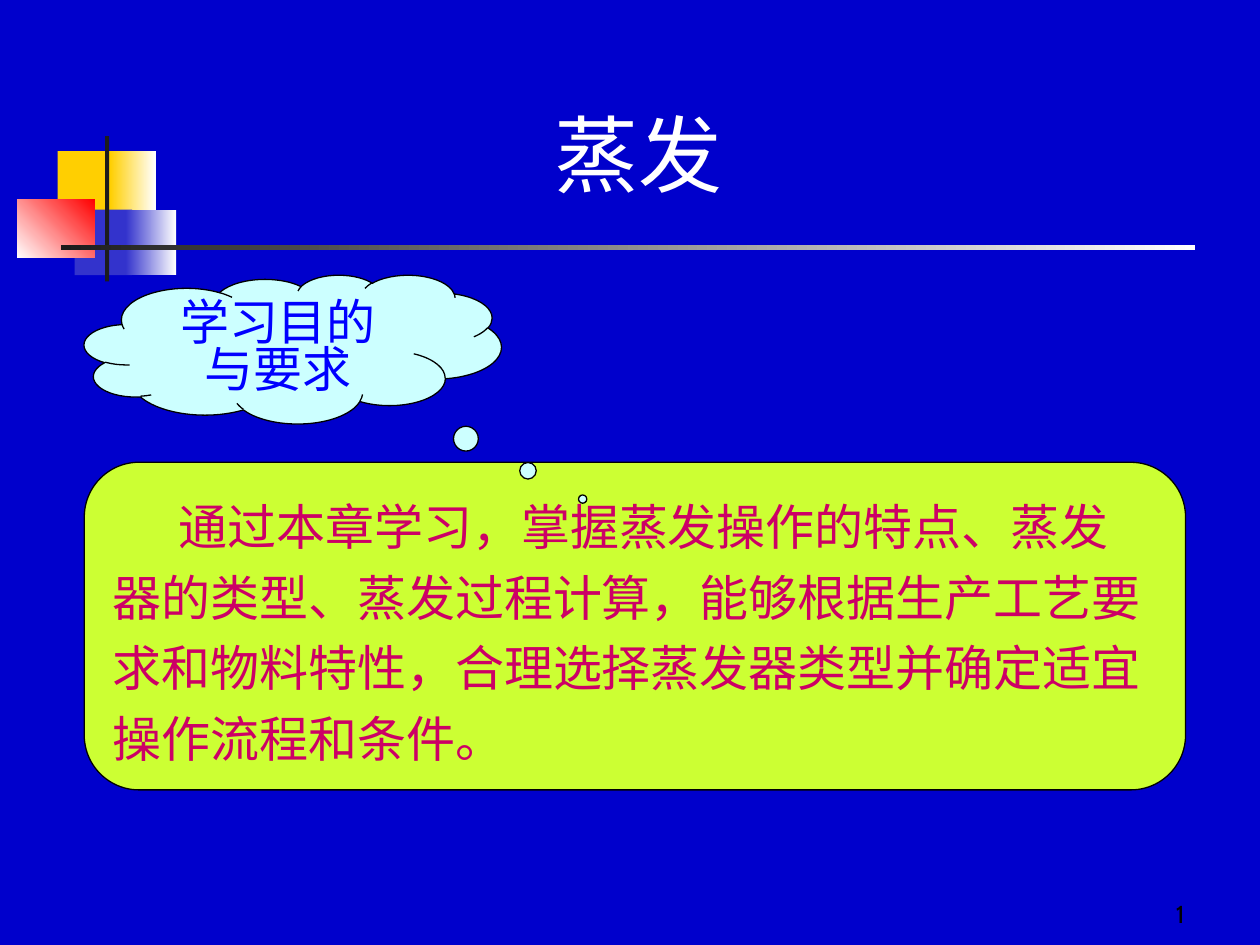
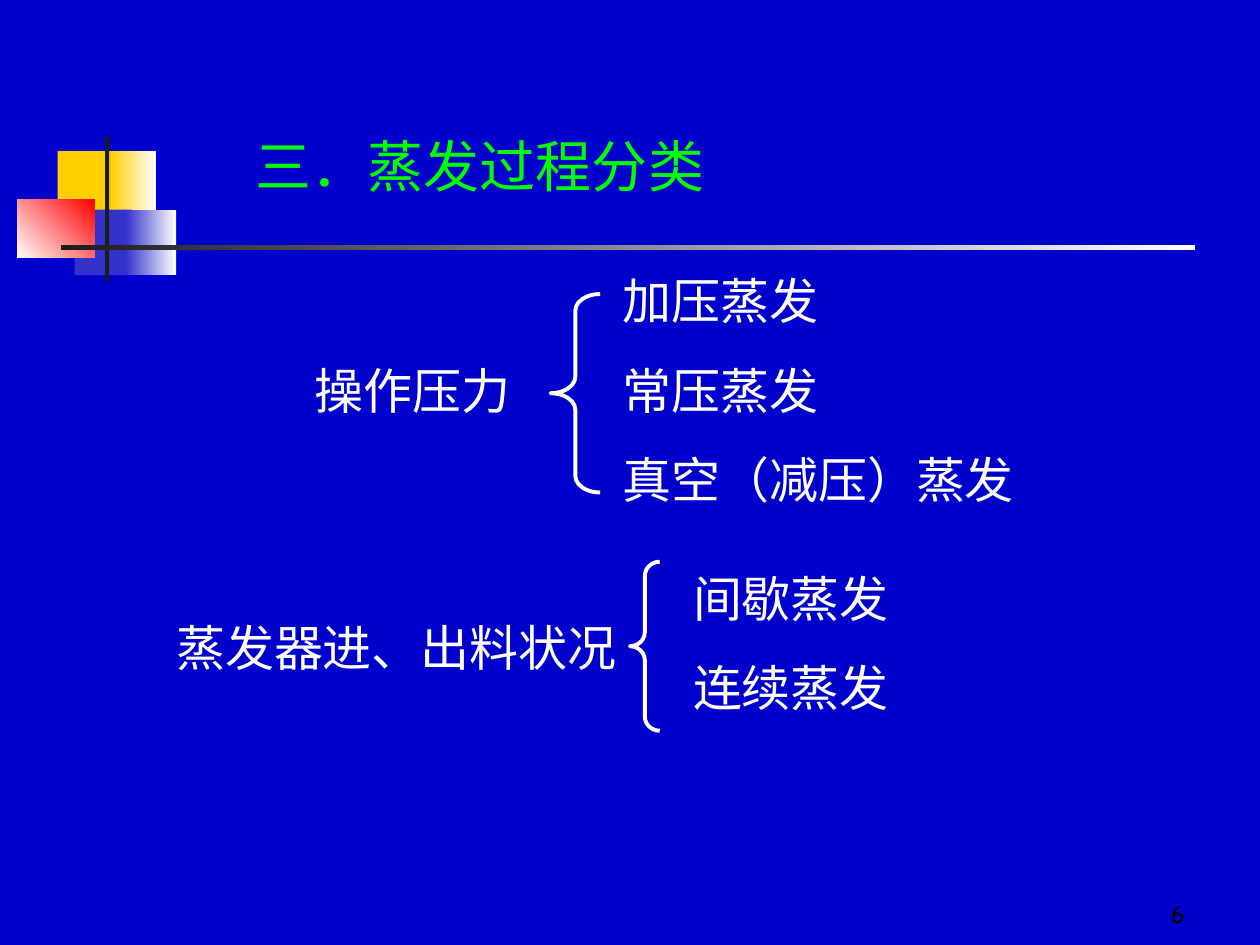
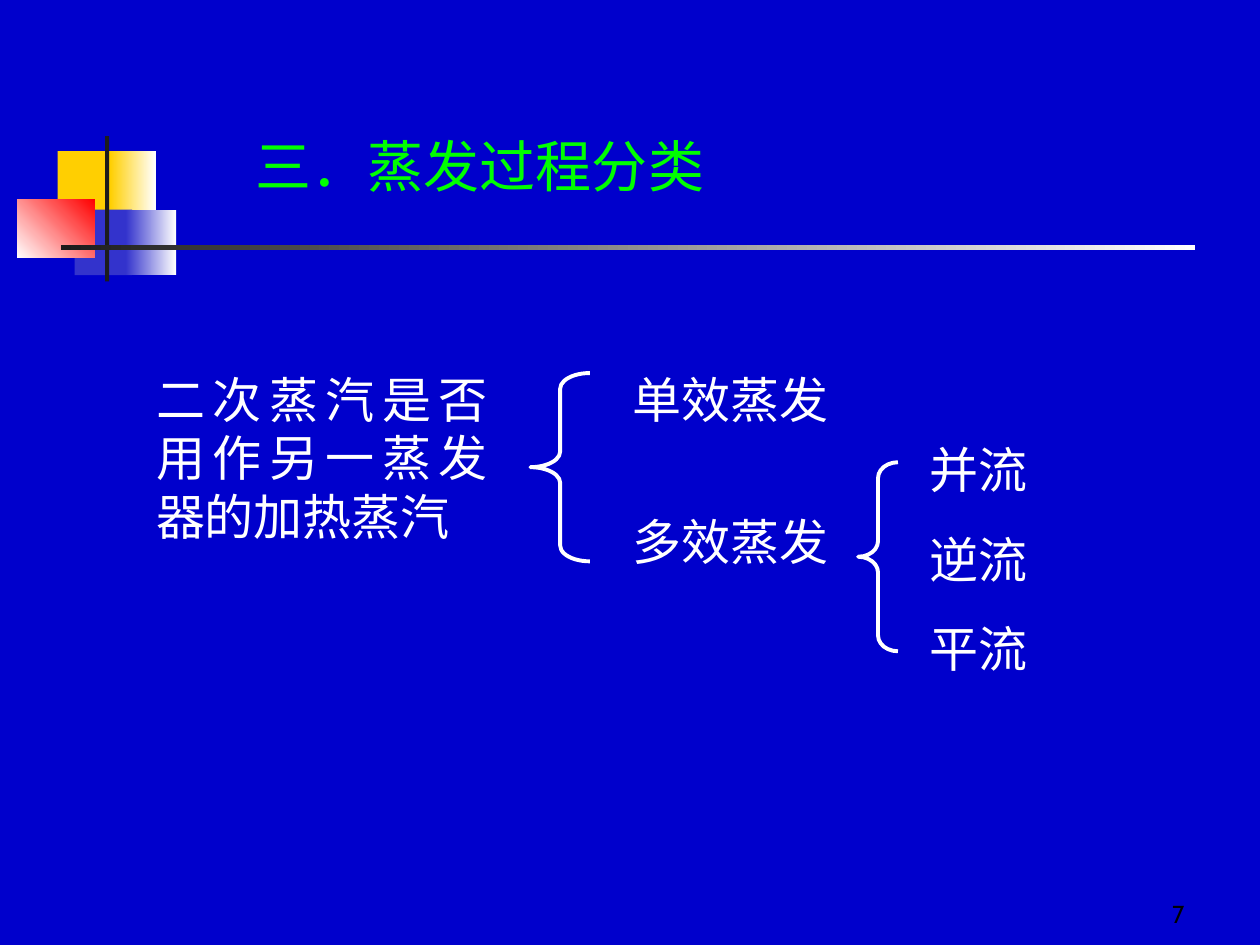
"""Build three slides on evaporation: the chapter aims and two classification diagrams."""
from lxml import etree
from pptx import Presentation
from pptx.dml.color import RGBColor
from pptx.enum.shapes import MSO_SHAPE
from pptx.enum.text import MSO_ANCHOR, MSO_AUTO_SIZE, PP_ALIGN
from pptx.oxml.ns import qn
from pptx.util import Pt

RECTANGLE = MSO_SHAPE.RECTANGLE
ROUNDED = MSO_SHAPE.ROUNDED_RECTANGLE
CLOUD = MSO_SHAPE.CLOUD_CALLOUT
BRACE = MSO_SHAPE.LEFT_BRACE
TOP, MIDDLE, BOTTOM = MSO_ANCHOR.TOP, MSO_ANCHOR.MIDDLE, MSO_ANCHOR.BOTTOM
LEFT, CENTER, RIGHT, JUSTIFY = PP_ALIGN.LEFT, PP_ALIGN.CENTER, PP_ALIGN.RIGHT, PP_ALIGN.JUSTIFY
NO_FIT = MSO_AUTO_SIZE.NONE

BLUE = RGBColor(0x00, 0x00, 0xCC)
SOFT_BLUE = RGBColor(0x33, 0x33, 0xCC)
YELLOW = RGBColor(0xFF, 0xCF, 0x01)
RED = RGBColor(0xFF, 0x00, 0x00)
CHARCOAL = RGBColor(0x1C, 0x1C, 0x1C)
BLACK = RGBColor(0x00, 0x00, 0x00)
WHITE = RGBColor(0xFF, 0xFF, 0xFF)
GREEN = RGBColor(0x00, 0xFF, 0x00)
LIME = RGBColor(0xCC, 0xFF, 0x33)
MAGENTA = RGBColor(0xCC, 0x00, 0x66)
PALE_CYAN = RGBColor(0xCC, 0xFF, 0xFF)
CLOUD_TEXT = RGBColor(0x00, 0x00, 0xFF)
SANS, SERIF, LATIN = "Noto Sans CJK SC", "Times New Roman", "Cabin"


def place(shape, left, top, width, height):
    """Move and size a shape, in points."""
    shape.left, shape.top, shape.width, shape.height = Pt(left), Pt(top), Pt(width), Pt(height)


def write(shape, lines, size=28, color=WHITE, font=SANS, align=JUSTIFY,
          anchor=TOP, gap=0, indent=0, leading=1.2):
    """Fill a shape with unbulleted paragraphs."""
    frame = shape.text_frame
    frame.word_wrap = True
    frame.auto_size = NO_FIT
    frame.vertical_anchor = anchor
    for number, line in enumerate(lines):
        para = frame.add_paragraph() if number else frame.paragraphs[0]
        properties = para._p.get_or_add_pPr()
        properties.set("marL", "0")
        properties.set("indent", str(Pt(indent)))
        etree.SubElement(properties, qn("a:buNone"))
        para.alignment = align
        para.line_spacing = Pt(round(size * leading, 2))
        para.space_before = Pt(gap if number else 0)
        span = para.add_run()
        span.text = line
        span.font.size = Pt(size)
        span.font.color.rgb = color
        span.font.name = font
        etree.SubElement(span._r.get_or_add_rPr(), qn("a:ea"), typeface=SANS)


deck = Presentation()
deck.slide_width, deck.slide_height = Pt(720), Pt(540)
master = deck.slide_master
master.background.fill.solid()
master.background.fill.fore_color.rgb = BLUE
title_only, two_content = deck.slide_layouts[5], deck.slide_layouts[3]

aims_page = deck.slides.add_slide(title_only)
feed_page = deck.slides.add_slide(two_content)
effect_page = deck.slides.add_slide(two_content)

ornaments = [
    ((33, 86.4, 34.6, 37.4), YELLOW, YELLOW, 0),
    ((63, 86.4, 25.9, 37.4), YELLOW, WHITE, 0),
    ((42.6, 119.8, 33, 37.4), SOFT_BLUE, SOFT_BLUE, 0),
    ((72, 119.8, 28.7, 37.4), SOFT_BLUE, WHITE, 0),
    ((9.8, 113.8, 44.4, 33.5), WHITE, RED, 45),
    ((60, 77.8, 2.4, 83), CHARCOAL, CHARCOAL, 0),
    ((34.8, 140.2, 648, 2.5), CHARCOAL, WHITE, 0),
]
for area, start, end, angle in ornaments:
    ornament = aims_page.shapes.add_shape(RECTANGLE, 0, 0, 0, 0)
    place(ornament, *area)
    ornament.shadow.inherit = False
    ornament.line.fill.background()
    if start == end:
        ornament.fill.solid()
        ornament.fill.fore_color.rgb = start
    else:
        ornament.fill.gradient()
        ornament.fill.gradient_angle = angle
        for stop, color in zip(ornament.fill.gradient_stops, (start, end)):
            stop.color.rgb = color
    master.shapes.element.append(ornament.element)

for page, number in ((aims_page, "1"), (feed_page, "6"), (effect_page, "7")):
    number_box = page.shapes.add_textbox(0, 0, 0, 0)
    place(number_box, 534, 498, 150, 36)
    write(number_box, [number], 14, BLACK, LATIN, RIGHT, BOTTOM)

aims_title = aims_page.shapes.title
place(aims_title, 116, 54.7, 465, 65)
aims_title.fill.solid()
aims_title.fill.fore_color.rgb = BLUE
aims_title.text_frame.margin_left = Pt(40)
write(aims_title, ["蒸发"], 48, WHITE, SERIF, CENTER)

aims_panel = aims_page.shapes.add_shape(ROUNDED, 0, 0, 0, 0)
place(aims_panel, 48.2, 264.2, 629.3, 187.2)
aims_panel.adjustments[0] = 0.167
aims_panel.text_frame.margin_right = Pt(12)
write(aims_panel, ["通过本章学习，掌握蒸发操作的特点、蒸发器的类型、蒸发过程计算，"
                   "能够根据生产工艺要求和物料特性，合理选择蒸发器类型并确定适宜操作流程和条件。"],
      color=MAGENTA, font=LATIN, align=LEFT, anchor=MIDDLE, indent=37.7, leading=1.44)

aims_cloud = aims_page.shapes.add_shape(CLOUD, 0, 0, 0, 0)
place(aims_cloud, 48.2, 157, 238.3, 85)
aims_cloud.adjustments[0], aims_cloud.adjustments[1] = 0.695, 1.008
write(aims_cloud, ["学习目的", "与要求"], color=CLOUD_TEXT, font=LATIN, align=CENTER, leading=0.96)

for bubble, color in ((aims_panel, LIME), (aims_cloud, PALE_CYAN)):
    bubble.shadow.inherit = False
    bubble.fill.solid()
    bubble.fill.fore_color.rgb = color
    bubble.line.color.rgb = BLACK
    bubble.line.width = Pt(0.75)

diagrams = [
    (feed_page,
     [((348.5, 151.2, 266.4, 143.3), ["加压蒸发", "常压蒸发", "真空（减压）蒸发"], 17.5),
      ((388.8, 321.1, 130, 92.2), ["间歇蒸发", "连续蒸发"], 17.5)],
     [((172.8, 202.3, 130, 41), "操作压力"),
      ((93.6, 349.2, 270, 41), "蒸发器进、出料状况")],
     [(314.6, 168, 28.4, 113.4), (360, 321, 17, 96.6)]),
    (effect_page,
     [((354.2, 207.4, 141.8, 122.4), ["单效蒸发", "多效蒸发"], 47.6),
      ((524.2, 247.7, 79.2, 143.3), ["并流", "逆流", "平流"], 17.5)],
     [((82.1, 207.4, 203.8, 108), "二次蒸汽是否用作另一蒸发器的加热蒸汽")],
     [(303.1, 213.2, 34, 107.6), (490.4, 264.2, 22.7, 108)]),
]
for page, lists, labels, braces in diagrams:
    place(page.shapes.title, 139, 71.3, 481.7, 46)
    write(page.shapes.title, ["三．蒸发过程分类"], 32, GREEN)
    for body, (area, items, gap) in zip(list(page.placeholders)[1:], lists):
        place(body, *area)
        write(body, items, gap=gap)
    for area, label in labels:
        label_box = page.shapes.add_textbox(0, 0, 0, 0)
        place(label_box, *area)
        write(label_box, [label])
    for area in braces:
        brace = page.shapes.add_shape(BRACE, 0, 0, 0, 0)
        place(brace, *area)
        brace.adjustments[0] = area[3] / 12 / area[2]
        brace.shadow.inherit = False
        brace.fill.background()
        brace.line.color.rgb = WHITE
        brace.line.width = Pt(2.25)

deck.save("out.pptx")
